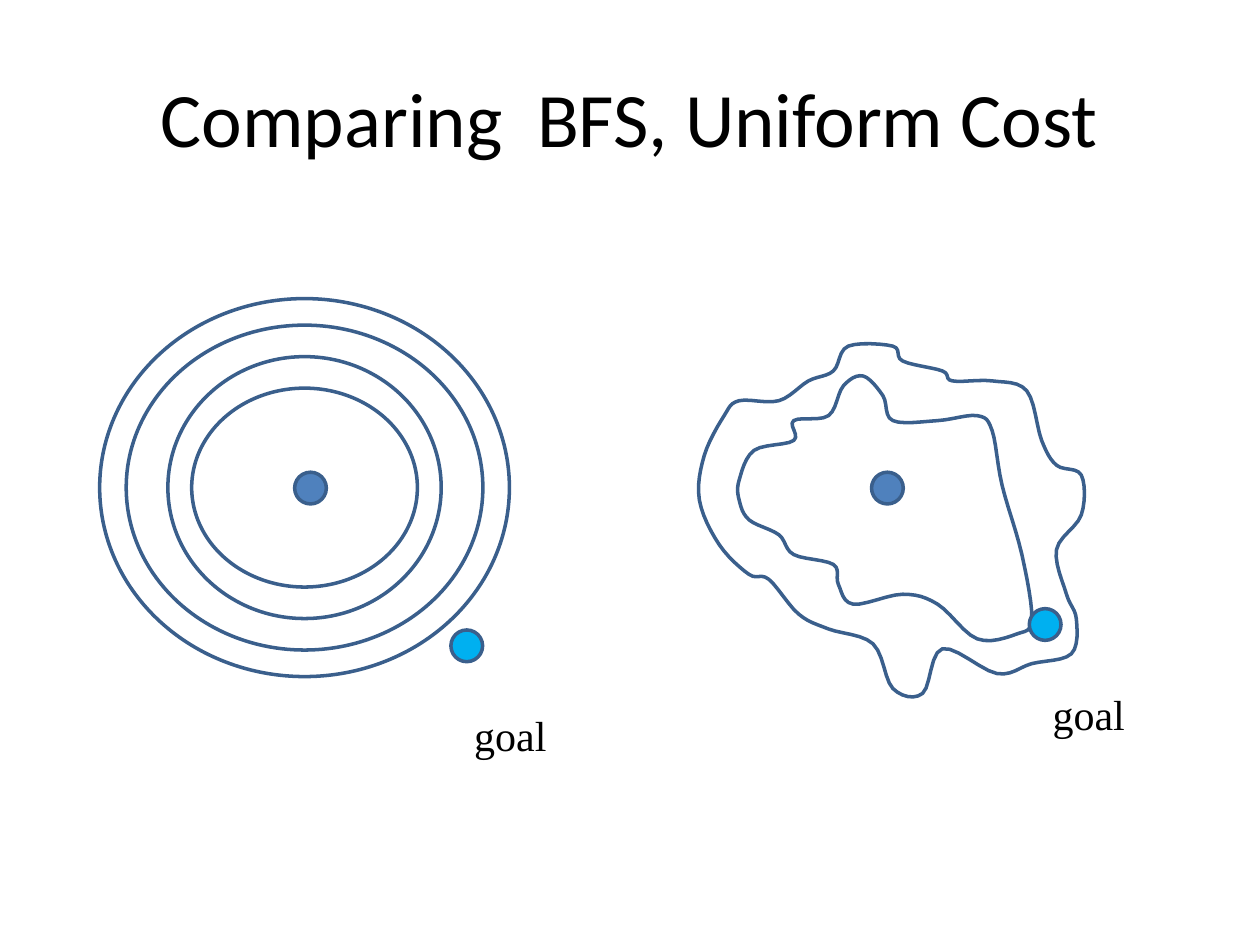
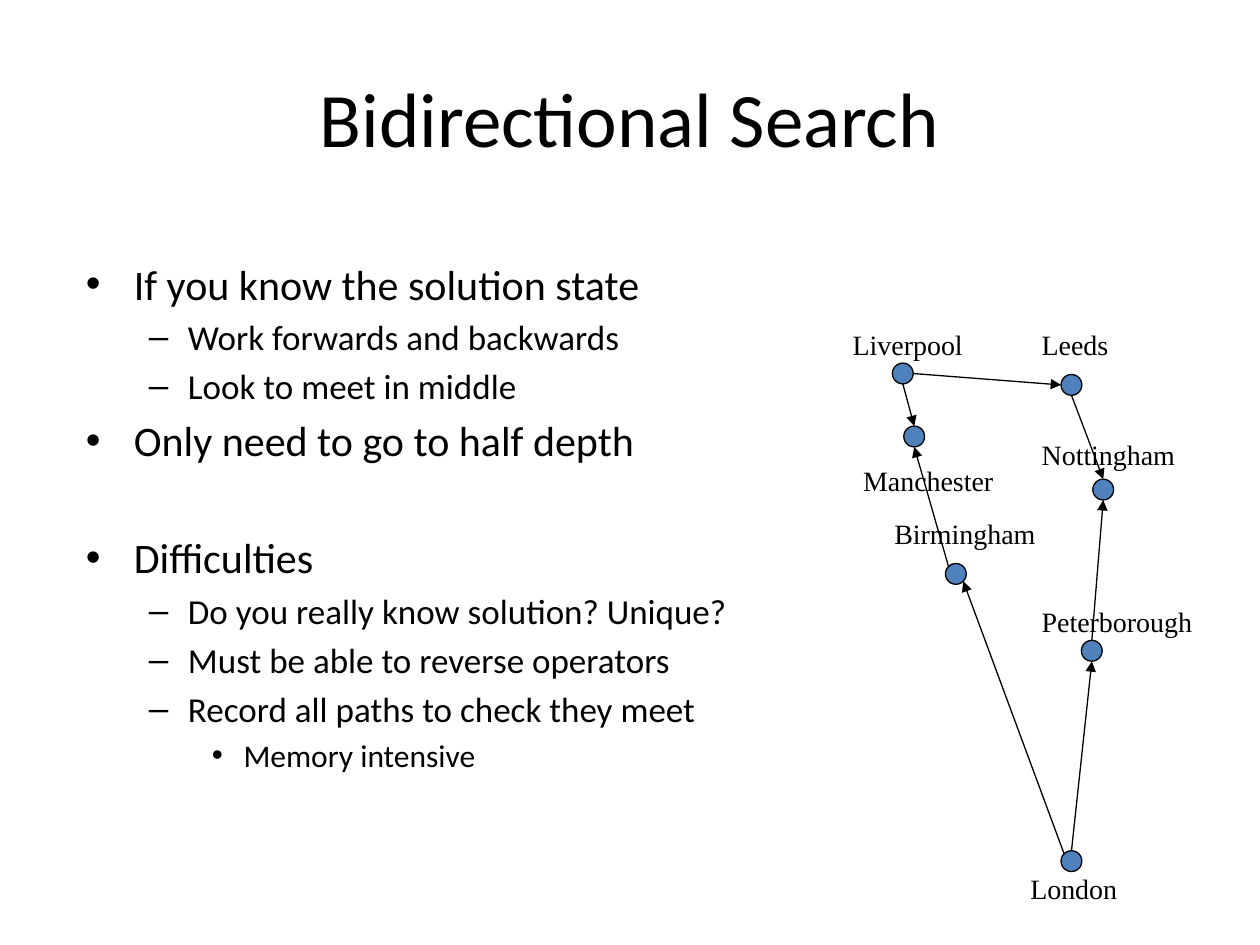
from dataclasses import dataclass
from math import cos, radians, sin

from lxml.etree import SubElement
from pptx import Presentation
from pptx.dml.color import RGBColor
from pptx.enum.shapes import MSO_CONNECTOR, MSO_SHAPE
from pptx.enum.text import MSO_ANCHOR, PP_ALIGN
from pptx.oxml.ns import qn
from pptx.util import Cm, Pt


@dataclass(frozen=True)
class Theme:
    black: RGBColor = RGBColor(0x00, 0x00, 0x00)
    node: RGBColor = RGBColor(0x4F, 0x81, 0xBD)
    contour: RGBColor = RGBColor(0x3A, 0x5F, 0x8C)
    goal: RGBColor = RGBColor(0x00, 0xB0, 0xF0)
    body_font: str = "Calibri"
    label_font: str = "Times New Roman"
    title_size: int = 44
    goal_size: int = 24
    city_size: int = 16
    bullet_sizes: tuple = (24, 20, 18)
    thick: float = 2
    thin: float = 0.75


THEME = Theme()

# Bullet character, left margin and hanging indent (cm) of each level
BULLETS = [("•", 0.97, 0.97), ("–", 2.06, 0.79), ("•", 3.18, 0.64)]
SECTION_GAP = 38

NOTES = [
    (0, "If you know the solution state"),
    (1, "Work forwards and backwards"),
    (1, "Look to meet in middle"),
    (0, "Only need to go to half depth"),
    (0, "Difficulties"),
    (1, "Do you really know solution? Unique?"),
    (1, "Must be able to reverse operators"),
    (1, "Record all paths to check they meet"),
    (2, "Memory intensive"),
]

# Width and height of each ring, from the start outwards
BFS_RINGS = [(4.55, 4.01), (5.51, 5.28), (7.19, 6.55), (8.26, 7.62)]

# Landmarks of each cost contour, clockwise, in mm from the panel corner;
# smooth_outline() draws the curve between them
INNER_CONTOUR = {
    "top": [(33, 34), (40, 33), (43, 27), (47, 25), (51, 29), (53, 34), (62, 34), (70, 33)],
    "right": [(73, 36), (75, 47), (79, 61), (81, 74)],
    "bottom": [(78, 77), (70, 78), (62, 71), (55, 69), (45, 71), (42, 67), (41, 63)],
    "left": [(33, 61), (30, 57), (24, 54), (22, 50), (22, 46), (25, 40), (33, 38)],
}
OUTER_CONTOUR = {
    "top": [(22, 30), (30, 30), (36, 26), (41, 24), (44, 19), (53, 19), (55, 22), (63, 24),
            (65, 26), (73, 26)],
    "right": [(80, 28), (83, 38), (86, 43), (91, 45), (91, 53), (86, 60), (88, 69), (90, 74)],
    "bottom": [(89, 81), (81, 83), (74, 85), (63, 80), (59, 89), (53, 88), (49, 79),
               (40, 76), (34, 73)],
    "left": [(28, 66), (24, 65), (18, 59), (14, 50), (15, 41), (19, 33)],
}
CURVE_STEPS = 6


@dataclass(frozen=True)
class City:
    """Node centre and label corner, in cm from the map corner."""
    centre: tuple
    label: tuple


EAST_LABELS = 4.24
CITIES = {
    "Liverpool": City((1.69, 1.18), (0.43, 0.13)),
    "Leeds": City((5.09, 1.41), (EAST_LABELS, 0.13)),
    "Manchester": City((1.92, 2.45), (0.64, 2.87)),
    "Nottingham": City((5.73, 3.52), (EAST_LABELS, 2.34)),
    "Birmingham": City((2.76, 5.22), (1.27, 3.94)),
    "Peterborough": City((5.5, 6.77), (EAST_LABELS, 5.72)),
    "London": City((5.09, 11.01), (4.01, 11.1)),
}
CITY_DIAMETER = 0.42

# Clockwise angle from the right at which a route leaves or meets a node
RIGHT, LOWER_RIGHT, BOTTOM, LEFT, UPPER_LEFT, TOP = 0, 45, 90, 180, 225, 270
ROUTES = [
    ("Liverpool", RIGHT, "Leeds", LEFT),
    ("Liverpool", BOTTOM, "Manchester", TOP),
    ("Leeds", BOTTOM, "Nottingham", TOP),
    ("London", UPPER_LEFT, "Birmingham", LOWER_RIGHT),
    ("Birmingham", UPPER_LEFT, "Manchester", BOTTOM),
    ("London", TOP, "Peterborough", BOTTOM),
    ("Peterborough", TOP, "Nottingham", BOTTOM),
]


def shift(box, dx, dy):
    return box[0] + dx, box[1] + dy


def style_shape(sp, fill, line, width):
    sp.shadow.inherit = False
    if fill is None:
        sp.fill.background()
    else:
        sp.fill.solid()
        sp.fill.fore_color.rgb = fill
    sp.line.color.rgb = line
    sp.line.width = Pt(width)


def add_oval(slide, centre, w, h, fill=None, line=THEME.contour, width=THEME.thick):
    x, y = shift(centre, -w / 2, -h / 2)
    sp = slide.shapes.add_shape(MSO_SHAPE.OVAL, Cm(x), Cm(y), Cm(w), Cm(h))
    style_shape(sp, fill, line, width)


def format_runs(p, size, font):
    for r in p.runs:
        r.font.size = Pt(size)
        r.font.name = font
        r.font.color.rgb = THEME.black


def add_text(slide, box, text, size, font, wrap=True):
    tf = slide.shapes.add_textbox(*map(Cm, box)).text_frame
    tf.word_wrap = wrap
    tf.text = text
    format_runs(tf.paragraphs[0], size, font)
    return tf


def add_title(slide, text):
    tf = add_text(slide, (1.27, 0.76, 22.86, 3.18), text,
                  THEME.title_size, THEME.body_font)
    tf.vertical_anchor = MSO_ANCHOR.MIDDLE
    tf.paragraphs[0].alignment = PP_ALIGN.CENTER


def add_start_and_goal(slide, start, goal):
    for centre, fill in ((start, THEME.node), (goal, THEME.goal)):
        add_oval(slide, centre, 0.64, 0.64, fill)
    add_text(slide, (*shift(goal, -0.1, 1.16), 1.98, 1.3), "goal",
             THEME.goal_size, THEME.label_font, wrap=False)


def add_bfs_panel(slide, box):
    for w, h in BFS_RINGS:
        add_oval(slide, shift(box, 4.87, 4.75), w, h)
    add_start_and_goal(slide, shift(box, 4.99, 4.76), shift(box, 8.14, 7.94))


def spline(a, b, c, d, t):
    """Catmull-Rom value between b and c, with neighbours a and d."""
    return b + t / 2 * (c - a + t * (2*a - 5*b + 4*c - d + t * (3*b - 3*c + d - a)))


def smooth_outline(landmarks):
    """Points of a closed smooth curve through the landmarks."""
    outline = []
    for i in range(len(landmarks)):
        neighbours = [landmarks[(i + k) % len(landmarks)] for k in (-1, 0, 1, 2)]
        xs, ys = zip(*neighbours)
        for step in range(CURVE_STEPS):
            t = step / CURVE_STEPS
            outline.append((spline(*xs, t), spline(*ys, t)))
    return outline


def add_contour(slide, box, sides):
    landmarks = [point for side in sides.values() for point in side]
    # Work in EMU so that the curve is not rounded to whole millimetres
    start, *rest = [(Cm(x / 10), Cm(y / 10)) for x, y in smooth_outline(landmarks)]
    builder = slide.shapes.build_freeform(*start)
    builder.add_line_segments(rest, close=True)
    sp = builder.convert_to_shape(*map(Cm, box))
    style_shape(sp, None, THEME.contour, THEME.thick)


def add_uniform_cost_panel(slide, box):
    for sides in (INNER_CONTOUR, OUTER_CONTOUR):
        add_contour(slide, box, sides)
    add_start_and_goal(slide, shift(box, 5.19, 4.76), shift(box, 8.37, 7.51))


def set_bullet(p, level):
    char, margin, hang = BULLETS[level]
    p.level = level
    pPr = p._p.get_or_add_pPr()
    pPr.set("marL", str(Cm(margin)))
    pPr.set("indent", str(-Cm(hang)))
    SubElement(pPr, qn("a:buFont")).set("typeface", "Arial")
    SubElement(pPr, qn("a:buChar")).set("char", char)


def add_notes_list(slide, box):
    tf = slide.shapes.add_textbox(*map(Cm, box)).text_frame
    tf.word_wrap = True
    for i, (level, text) in enumerate(NOTES):
        p = tf.add_paragraph() if i else tf.paragraphs[0]
        size = THEME.bullet_sizes[level]
        p.text = text
        p.space_before = Pt(SECTION_GAP if text == "Difficulties" else 0.2 * size)
        set_bullet(p, level)
        format_runs(p, size, THEME.body_font)


def rim_point(box, city, angle):
    radius, a = CITY_DIAMETER / 2, radians(angle)
    centre = shift(box, *CITIES[city].centre)
    return shift(centre, radius * cos(a), radius * sin(a))


def add_arrow(slide, begin, end):
    cxn = slide.shapes.add_connector(MSO_CONNECTOR.STRAIGHT,
                                     *map(Cm, (*begin, *end)))
    cxn.line.color.rgb = THEME.black
    cxn.line.width = Pt(THEME.thin)
    SubElement(cxn.line._get_or_add_ln(), qn("a:tailEnd")).set("type", "triangle")
    SubElement(cxn._element.spPr, qn("a:effectLst"))


def add_city_map(slide, box):
    for name, city in CITIES.items():
        add_oval(slide, shift(box, *city.centre), CITY_DIAMETER, CITY_DIAMETER,
                 THEME.node, THEME.black, THEME.thin)
        add_text(slide, (*shift(box, *city.label), 3.6, 0.94), name,
                 THEME.city_size, THEME.label_font)
    for origin, leave, target, meet in ROUTES:
        add_arrow(slide, rim_point(box, origin, leave), rim_point(box, target, meet))


def new_slide(prs, title):
    slide = prs.slides.add_slide(prs.slide_layouts[6])
    add_title(slide, title)
    return slide


def build_comparison_slide(prs):
    slide = new_slide(prs, "Comparing  BFS, Uniform Cost")
    add_bfs_panel(slide, (1.27, 5.08))
    add_uniform_cost_panel(slide, (12.7, 5.08))


def build_bidirectional_slide(prs):
    slide = new_slide(prs, "Bidirectional Search")
    add_notes_list(slide, (1.48, 5.08, 15.03, 11.64))
    add_city_map(slide, (16.51, 6.35))


def main():
    prs = Presentation()
    prs.slide_width, prs.slide_height = Cm(25.4), Cm(19.05)
    build_comparison_slide(prs)
    build_bidirectional_slide(prs)
    prs.save("out.pptx")


if __name__ == "__main__":
    main()
